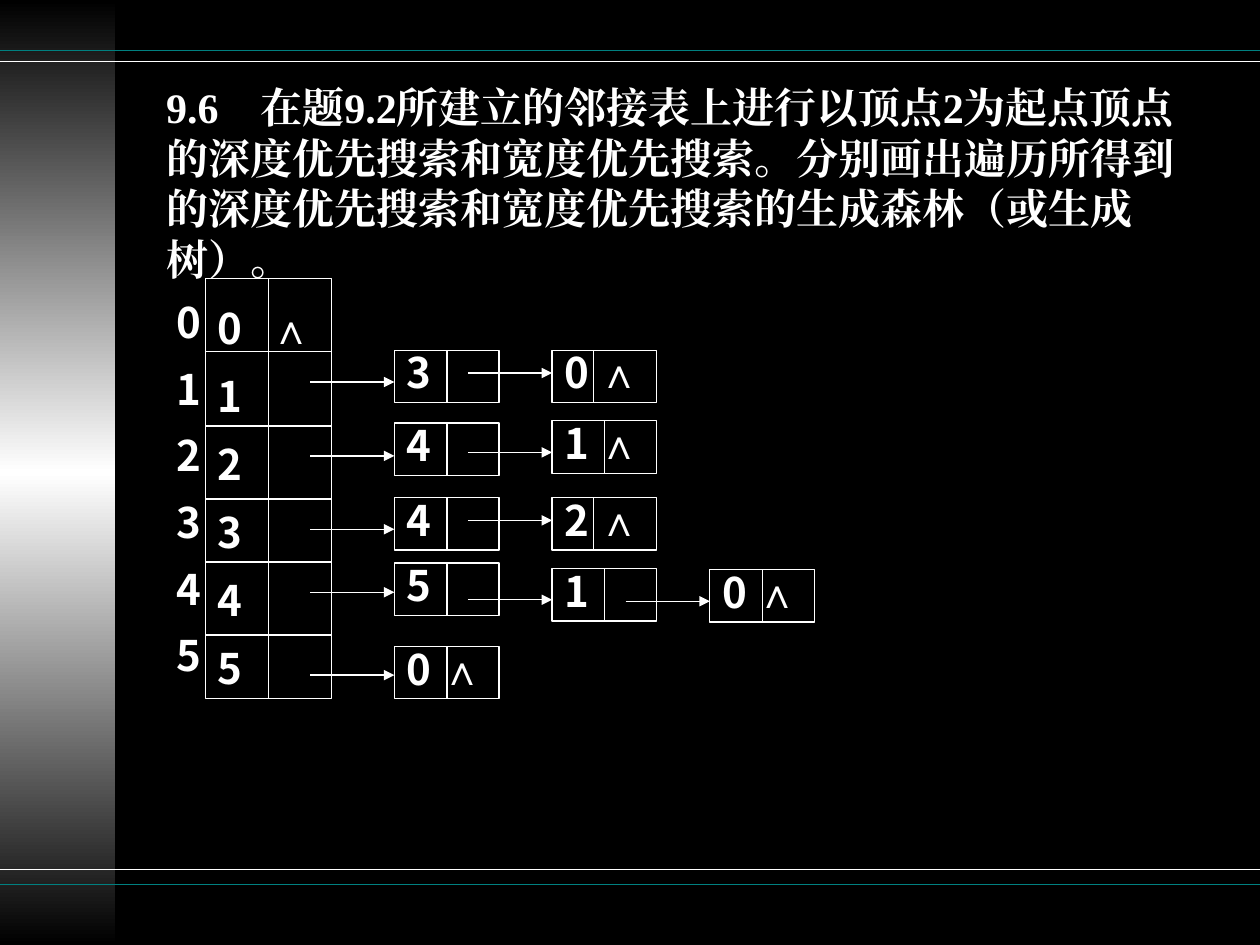
"""Build the slide on searching an adjacency list from vertex 2."""
from lxml.etree import SubElement
from pptx import Presentation
from pptx.dml.color import RGBColor
from pptx.enum.shapes import MSO_CONNECTOR as LINK, MSO_SHAPE as SHAPE
from pptx.enum.text import MSO_ANCHOR as ANCHOR, MSO_AUTO_SIZE as FIT, PP_ALIGN as ALIGN
from pptx.oxml import parse_xml
from pptx.oxml.ns import nsdecls, qn
from pptx.util import Cm, Pt

BLACK = RGBColor(0x00, 0x00, 0x00)
WHITE = RGBColor(0xFF, 0xFF, 0xFF)
TEAL = RGBColor(0x00, 0x80, 0x80)
SERIF, SANS, SYMBOL = "Times New Roman", "Noto Sans CJK SC", "Arial"

TITLE = ("9.6\t在题9.2所建立的邻接表上进行以顶点2为起点顶点的深度优先搜索和宽度优先搜索。"
         "分别画出遍历所得到的深度优先搜索和宽度优先搜索的生成森林（或生成树）。")
END = "∧"
VERTICES = ["0", "1", "2", "3", "4", "5"]
ROW_RULES = [7.09, 8.59, 10.06, 11.33, 12.8]
FRAME_RULES = [(1.02, TEAL), (1.24, WHITE), (17.53, WHITE), (17.83, TEAL)]

# fields: vertex, is last, top, arrow height, divider offset
CHAINS = [
    [("3", False, 7.06, 7.7, 1.06), ("0", True, 7.06, 7.52, 0.84)],
    [("4", False, 8.53, 9.19, 1.06), ("1", True, 8.48, 9.12, 1.06)],
    [("4", False, 10.03, 10.67, 1.06), ("2", True, 10.03, 10.49, 0.84)],
    [("5", False, 11.35, 11.94, 1.06), ("1", False, 11.46, 12.09, 1.06),
     ("0", True, 11.48, 12.12, 1.06)],
    [("0", True, 13.03, 13.61, 1.06)],
]
NODE_LEFT, NODE_STEP, NODE_WIDTH, NODE_HEIGHT = 7.95, 3.18, 2.11, 1.06
ARROW_LENGTH = 1.7
TABLE_LEFT, TABLE_TOP, TABLE_WIDTH, TABLE_HEIGHT = 4.14, 5.61, 2.54, 8.48


def set_font(font, name):
    font.size, font.bold, font.name = Pt(24), True, name
    font.color.rgb = WHITE
    SubElement(font._rPr, qn("a:ea")).set("typeface", name)


def add_tab(para, position):
    tabs = SubElement(para._p.get_or_add_pPr(), qn("a:tabLst"))
    SubElement(tabs, qn("a:tab"), pos=str(Cm(position)), algn="l")


def write(frame, lines, spacing, name=SANS, before=0, tab=None):
    frame.word_wrap, frame.auto_size = True, FIT.NONE
    frame.vertical_anchor = ANCHOR.TOP
    frame.margin_left = frame.margin_right = Cm(0.25)
    frame.margin_top = frame.margin_bottom = Cm(0.13)
    for index, line in enumerate(lines):
        para = frame.add_paragraph() if index else frame.paragraphs[0]
        para.alignment, para.line_spacing = ALIGN.LEFT, spacing
        para.space_before = Pt(before if index else 0)
        if tab and "\t" in line:
            add_tab(para, tab)
        text = line.removesuffix(END)
        para.add_run().text = text
        if text == line:
            set_font(para.font, name)
        else:
            set_font(para.runs[0].font, name)
            span = para.add_run()
            span.text = END
            set_font(span.font, SYMBOL)


def add_line(page, start, end, color=WHITE, width=0.75, arrow=False):
    line = page.shapes.add_connector(LINK.STRAIGHT, *map(Cm, start + end))
    line.line.color.rgb, line.line.width = color, Pt(width)
    if arrow:
        SubElement(line.line._get_or_add_ln(), qn("a:tailEnd"), type="triangle")
    SubElement(line._element.spPr, qn("a:effectLst"))


def add_box(page, left, top, width, height):
    box = page.shapes.add_shape(SHAPE.RECTANGLE, Cm(left), Cm(top), Cm(width), Cm(height))
    box.shadow.inherit = False
    box.fill.background()
    box.line.color.rgb, box.line.width = WHITE, Pt(0.75)
    return box


def add_frame(page):
    band = add_box(page, 0, 0, 2.33, 19.05)
    band.line.fill.background()
    stops = "".join(f'<a:gs pos="{place}"><a:srgbClr val="{color}"/></a:gs>'
                    for place, color in [(0, BLACK), (50000, WHITE), (100000, BLACK)])
    gradient = parse_xml(f'<a:gradFill {nsdecls("a")}><a:gsLst>{stops}</a:gsLst>'
                         '<a:lin ang="5400000" scaled="0"/></a:gradFill>')
    properties = band._element.spPr
    properties.replace(properties.find(qn("a:noFill")), gradient)
    for height, color in FRAME_RULES:
        add_line(page, (0, height), (25.4, height), color, 1)


def add_table_of_vertices(page):
    box = add_box(page, TABLE_LEFT, TABLE_TOP, TABLE_WIDTH, TABLE_HEIGHT)
    write(box.text_frame, [f"{VERTICES[0]}\t{END}"] + VERTICES[1:], 1.35, tab=1.06)
    for height in ROW_RULES:
        add_line(page, (TABLE_LEFT, height), (TABLE_LEFT + TABLE_WIDTH, height))
    middle = TABLE_LEFT + TABLE_WIDTH / 2
    add_line(page, (middle, TABLE_TOP), (middle, TABLE_TOP + TABLE_HEIGHT))
    labels = page.shapes.add_textbox(Cm(3.3), Cm(6.05), Cm(1.27), Cm(7.77))
    write(labels.text_frame, VERTICES, 0.8, before=15)


def add_chains(page):
    for chain in CHAINS:
        for column, (vertex, last, top, arrow, divider) in enumerate(chain):
            left = NODE_LEFT + column * NODE_STEP
            box = add_box(page, left, top, NODE_WIDTH, NODE_HEIGHT)
            write(box.text_frame, [f"{vertex} {END}" if last else vertex], 0.8)
            add_line(page, (left + divider, top), (left + divider, top + NODE_HEIGHT))
            add_line(page, (left - ARROW_LENGTH, arrow), (left, arrow), arrow=True)


def main():
    deck = Presentation()
    deck.slide_width, deck.slide_height = Cm(25.4), Cm(19.05)
    page = deck.slides.add_slide(deck.slide_layouts[5])
    page.background.fill.solid()
    page.background.fill.fore_color.rgb = BLACK
    add_frame(page)
    title = page.shapes.title
    title.left, title.top, title.width, title.height = map(Cm, (3.1, 1.52, 21.62, 4.32))
    write(title.text_frame, [TITLE], 1.0, SERIF, tab=1.9)
    add_table_of_vertices(page)
    add_chains(page)
    deck.save("out.pptx")


if __name__ == "__main__":
    main()
